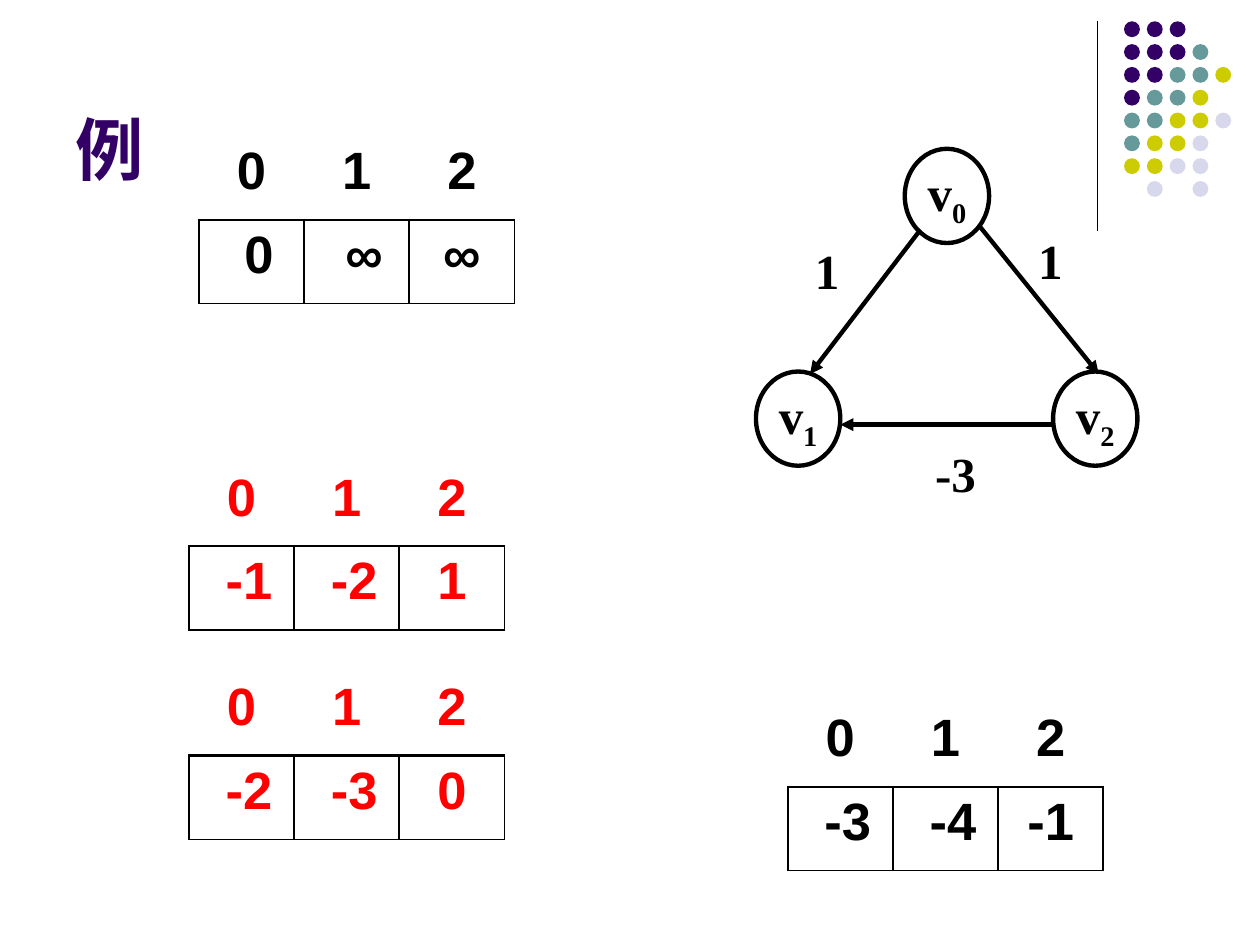
from dataclasses import dataclass

from lxml.etree import SubElement
from pptx import Presentation
from pptx.dml.color import RGBColor
from pptx.enum.shapes import MSO_CONNECTOR as CONN, MSO_SHAPE as SHAPE
from pptx.enum.text import MSO_ANCHOR as ANCHOR, PP_ALIGN as ALIGN
from pptx.oxml.ns import qn
from pptx.util import Cm, Pt


@dataclass(frozen=True)
class Theme:
    black: RGBColor = RGBColor.from_string("000000")
    red: RGBColor = RGBColor.from_string("FF0000")
    purple: RGBColor = RGBColor.from_string("330066")
    teal: RGBColor = RGBColor.from_string("669999")
    olive: RGBColor = RGBColor.from_string("CCCC00")
    lilac: RGBColor = RGBColor.from_string("D8D8EC")
    sans: str = "Arial"
    serif: str = "Times New Roman"
    title: Pt = Pt(39)
    cell: Pt = Pt(30)
    graph: Pt = Pt(28)


T = Theme()


def write(tf, text, font, size, color, align=ALIGN.LEFT, sub=""):
    """Write one bold paragraph, with an optional subscript run."""
    p = tf.paragraphs[0]
    p.alignment = align
    for part in filter(None, (text, sub)):
        r = p.add_run()
        r.text = part
        r.font.name, r.font.size, r.font.bold = font, size, True
        r.font.color.rgb = color
    if sub:
        r._r.get_or_add_rPr().set("baseline", "-25000")


def draw_line(start, end, width, arrow=False):
    """Draw a straight black line, with an optional arrowhead at its end."""
    c = s.shapes.add_connector(CONN.STRAIGHT, *map(Cm, start + end))
    c.line.color.rgb, c.line.width = T.black, Pt(width)
    if arrow:
        SubElement(c.line._get_or_add_ln(), qn("a:tailEnd"), type="triangle")
    SubElement(c._element.spPr, qn("a:effectLst"))


prs = Presentation()
prs.slide_width, prs.slide_height = Cm(25.4), Cm(19.05)
s = prs.slides.add_slide(prs.slide_layouts[6])

# Corner ornament: a rule and a grid of dots
draw_line((22.12, 0.43), (22.12, 4.65), 0.75)
dot_colors = {"P": T.purple, "T": T.teal, "O": T.olive, "L": T.lilac}
dot_rows = ["PPP", "PPPT", "PPTTO", "PTTO", "TTOOL", "TOOL", "OOLL", ".L.L"]
for row, dots in enumerate(dot_rows):
    for col, key in enumerate(dots):
        if key == ".":
            continue
        dot = s.shapes.add_shape(SHAPE.OVAL, Cm(22.66 + 0.46 * col), Cm(0.43 + 0.46 * row),
                                 Cm(0.32), Cm(0.32))
        dot.shadow.inherit = False
        dot.fill.solid()
        dot.fill.fore_color.rgb = dot_colors[key]
        dot.line.fill.background()

# Title
tf = s.shapes.add_textbox(Cm(1.27), Cm(0.33), Cm(20.96), Cm(3.6)).text_frame
tf.word_wrap, tf.vertical_anchor = True, ANCHOR.BOTTOM
write(tf, "例", T.sans, T.title, T.purple)

# Graph vertices
for index, (x, y) in enumerate([(18.24, 3), (15.24, 7.49), (21.23, 7.49)]):
    node = s.shapes.add_shape(SHAPE.OVAL, Cm(x), Cm(y), Cm(1.7), Cm(1.9))
    node.shadow.inherit = False
    node.fill.background()
    node.line.color.rgb, node.line.width = T.black, Pt(2.5)
    tf = node.text_frame
    tf.margin_left = tf.margin_right = tf.margin_top = tf.margin_bottom = 0
    tf.word_wrap, tf.vertical_anchor = False, ANCHOR.MIDDLE
    write(tf, "v", T.serif, T.graph, T.black, ALIGN.CENTER, sub=str(index))

# Graph edges with their weights: start, end, weight, label place and width
edges = [
    ((18.54, 4.65), (16.33, 7.54), "1", (16.43, 4.85), 0.71),
    ((19.74, 4.55), (22.15, 7.54), "1", (20.93, 4.65), 0.71),
    ((21.23, 8.56), (16.94, 8.56), "-3", (18.85, 8.94), 1.47),
]
for start, end, weight, (x, y), width in edges:
    draw_line(start, end, 2.5, arrow=True)
    tf = s.shapes.add_textbox(Cm(x), Cm(y), Cm(width), Cm(1.19)).text_frame
    tf.margin_left = tf.margin_right = tf.margin_top = tf.margin_bottom = 0
    tf.word_wrap = True
    write(tf, weight, T.serif, T.graph, T.black)

# Distance tables: vertex numbers above a row of boxed values
THICK, THIN = Pt(1.47), Pt(1.08)
tables = [
    (4.01, 2.74, T.black, ["0", "∞", "∞"]),
    (3.81, 9.32, T.red, ["-1", "-2", "1"]),
    (3.81, 13.54, T.red, ["-2", "-3", "0"]),
    (15.88, 14.17, T.black, ["-3", "-4", "-1"]),
]
for x, y, color, values in tables:
    table = s.shapes.add_table(2, 3, Cm(x), Cm(y), Cm(6.36), Cm(3.38)).table
    table.first_row = table.horz_banding = False
    for column in table.columns:
        column.width = Cm(2.12)
    for row, texts in enumerate([["0", "1", "2"], values]):
        table.rows[row].height = Cm(1.69)
        for col, text in enumerate(texts):
            cell = table.cell(row, col)
            if row == 0:
                borders = {"L": 0, "R": 0, "T": 0, "B": THICK}
            else:
                borders = {"L": THICK if col else THIN, "R": THICK if col < 2 else THIN,
                           "T": THICK, "B": THIN}
                if col < 2:
                    cell.margin_left = Cm(0.55)
            tcPr = cell._tc.get_or_add_tcPr()
            for side, width in borders.items():
                ln = SubElement(tcPr, qn(f"a:ln{side}"), w=str(int(width)))
                if width:
                    fill = SubElement(ln, qn("a:solidFill"))
                    SubElement(fill, qn("a:srgbClr"), val=str(T.black))
                else:
                    SubElement(ln, qn("a:noFill"))
            cell.fill.background()
            write(cell.text_frame, text, T.sans, T.cell, color, ALIGN.CENTER)

prs.save("out.pptx")
